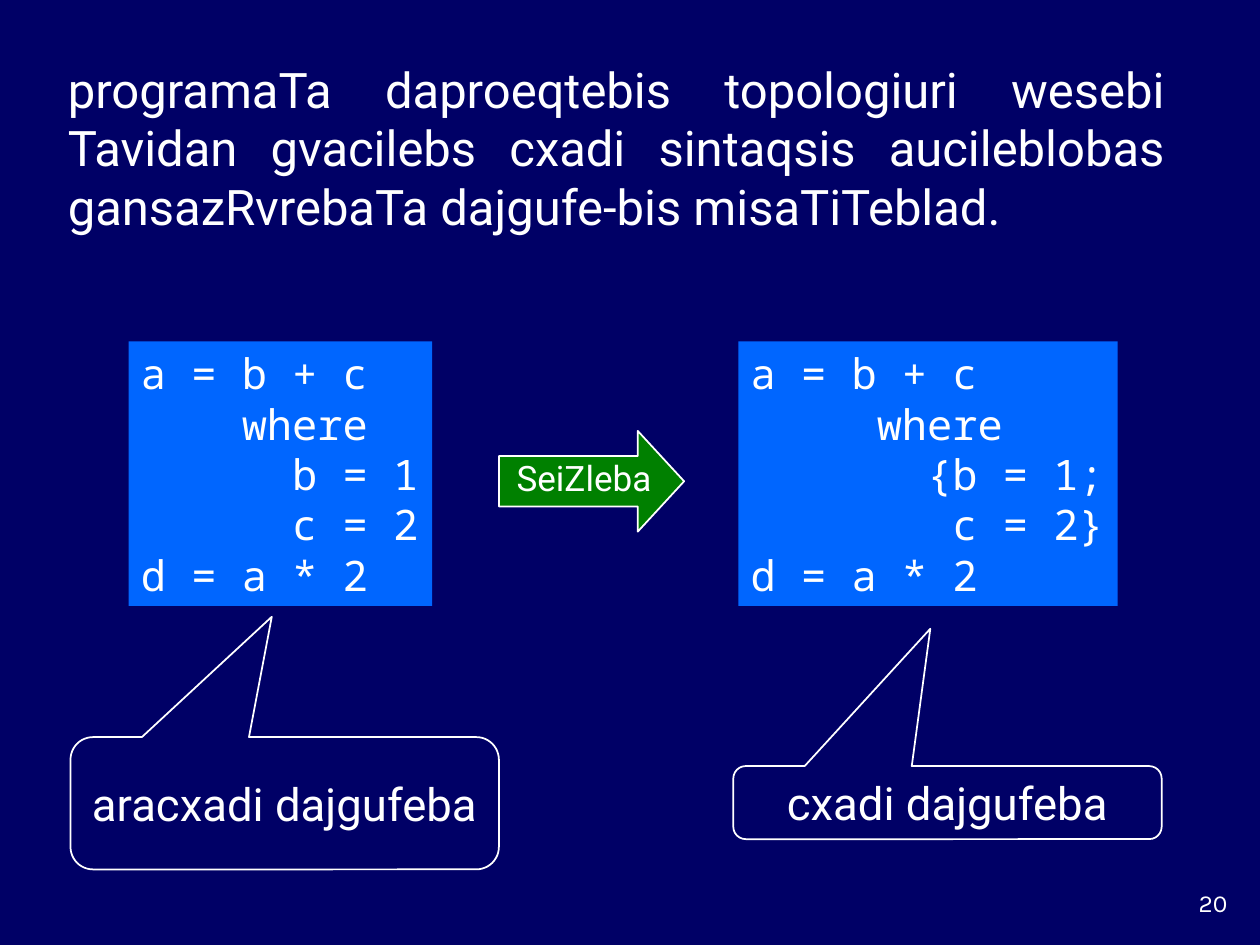
from pptx import Presentation
from pptx.dml.color import RGBColor
from pptx.enum.shapes import MSO_SHAPE as Shape
from pptx.enum.text import MSO_ANCHOR as Anchor, MSO_AUTO_SIZE as AutoSize, PP_ALIGN as Align
from pptx.util import Inches, Pt

WIDTH, HEIGHT = Inches(10), Inches(7.5)
COLUMNS, ROWS = 100, 75
COLORS = {"background": "000066", "text": "FFFFFF", "code": "0066FF", "arrow": "008000"}
IMPLICIT_CODE = """a = b + c
    where
      b = 1
      c = 2
d = a * 2"""
EXPLICIT_CODE = """a = b + c
     where
       {b = 1;
        c = 2}
d = a * 2"""


def color(name):
    return RGBColor.from_string(COLORS[name])


def grid(left, top, width, height):
    return (round(left * WIDTH / COLUMNS), round(top * HEIGHT / ROWS),
            round(width * WIDTH / COLUMNS), round(height * HEIGHT / ROWS))


def write(holder, text, size, font="Roboto", align=Align.LEFT, anchor=Anchor.MIDDLE,
          wrap=True, grow=True):
    frame = holder.text_frame
    frame.word_wrap = wrap
    frame.vertical_anchor = anchor
    frame.auto_size = AutoSize.SHAPE_TO_FIT_TEXT if grow else AutoSize.NONE
    frame.text = text
    for paragraph in frame.paragraphs:
        paragraph.alignment = align
        paragraph.font.name = font
        paragraph.font.size = Pt(size)
        paragraph.font.color.rgb = color("text")


def add_label(shapes, cell, text, size, **style):
    write(shapes.add_textbox(*grid(*cell)), text, size, **style)


def add_figure(shapes, kind, cell, fill=None, outlined=True, adjustments=()):
    figure = shapes.add_shape(kind, *grid(*cell))
    figure.shadow.inherit = False
    if fill:
        figure.fill.solid()
        figure.fill.fore_color.rgb = color(fill)
    else:
        figure.fill.background()
    if outlined:
        figure.line.color.rgb = color("text")
        figure.line.width = Pt(1)
    else:
        figure.line.fill.background()
    for index, value in enumerate(adjustments):
        figure.adjustments[index] = value
    return figure


def add_code(shapes, left, width, code):
    panel = add_figure(shapes, Shape.RECTANGLE, (left, 27.1, width, 21), "code", outlined=False)
    write(panel, code, 24, font="Noto Sans Mono", wrap=False)


def add_callout(shapes, cell, text, pointer):
    callout = add_figure(shapes, Shape.ROUNDED_RECTANGULAR_CALLOUT, cell,
                         adjustments=(*pointer, 0.17))
    write(callout, text, 26, align=Align.CENTER)


def add_transition(shapes):
    transition = shapes.add_group_shape().shapes
    add_figure(transition, Shape.RIGHT_ARROW, (39.6, 34.2, 14.7, 8), "arrow",
               adjustments=(0.5, 0.46))
    add_label(transition, (39.9, 35.7, 12.9, 4.4), "SeiZleba", 20,
              align=Align.CENTER, wrap=False)


def main():
    deck = Presentation()
    deck.slide_width, deck.slide_height = WIDTH, HEIGHT
    slide = deck.slides.add_slide(deck.slide_layouts[6])
    slide.background.fill.solid()
    slide.background.fill.fore_color.rgb = color("background")
    shapes = slide.shapes

    add_label(shapes, (91.7, 70, 6.7, 3.3), "20", 14, font="Karla",
              align=Align.RIGHT, anchor=Anchor.TOP, grow=False)
    add_transition(shapes)
    add_label(shapes, (4.4, 4.2, 89, 15),
              "programaTa daproeqtebis topologiuri wesebi Tavidan gvacilebs cxadi "
              "sintaqsis aucileblobas gansazRvrebaTa dajgufe-bis misaTiTeblad.",
              28, align=Align.JUSTIFY)
    add_code(shapes, 10.2, 24.1, IMPLICIT_CODE)
    add_code(shapes, 58.6, 30.1, EXPLICIT_CODE)
    add_callout(shapes, (5.6, 58.5, 34, 10.5), "aracxadi dajgufeba", (-0.03, -1.41))
    add_callout(shapes, (58.2, 60.8, 34, 5.8), "cxadi dajgufeba", (-0.04, -2.38))
    deck.save("out.pptx")


if __name__ == "__main__":
    main()
